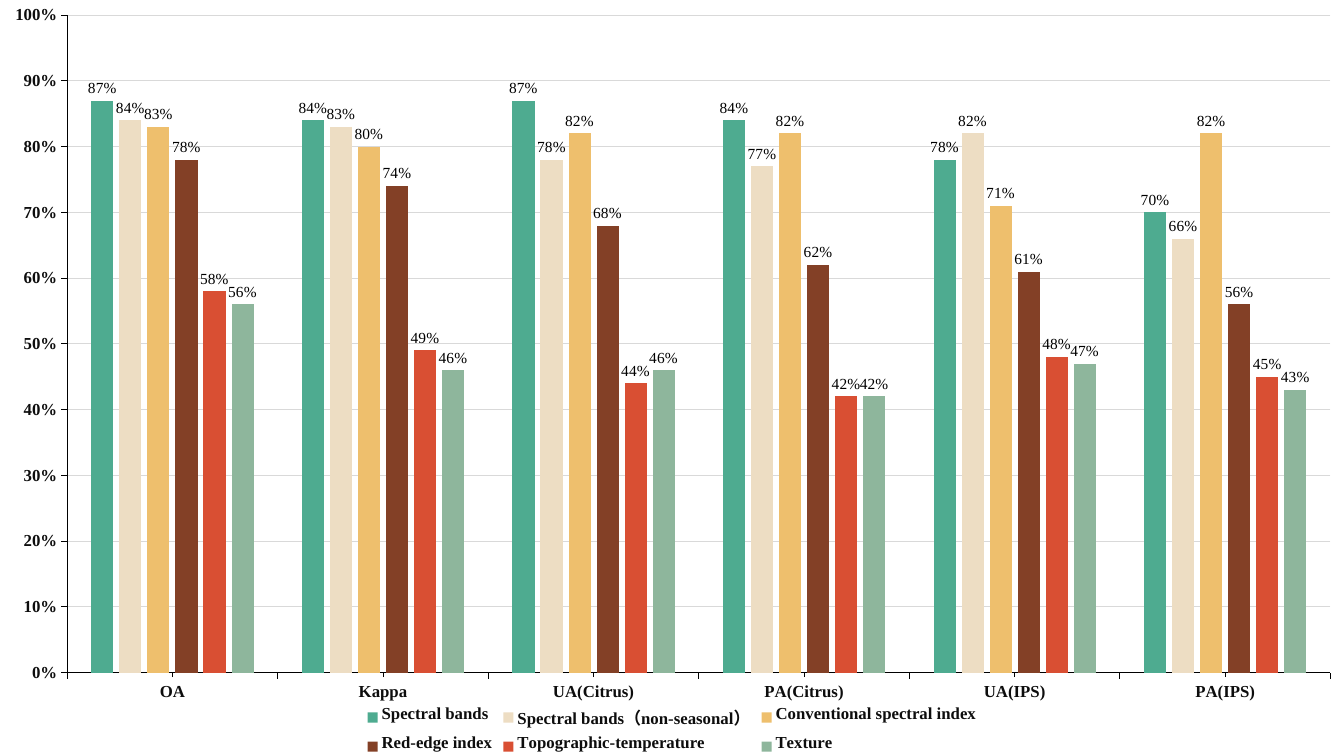
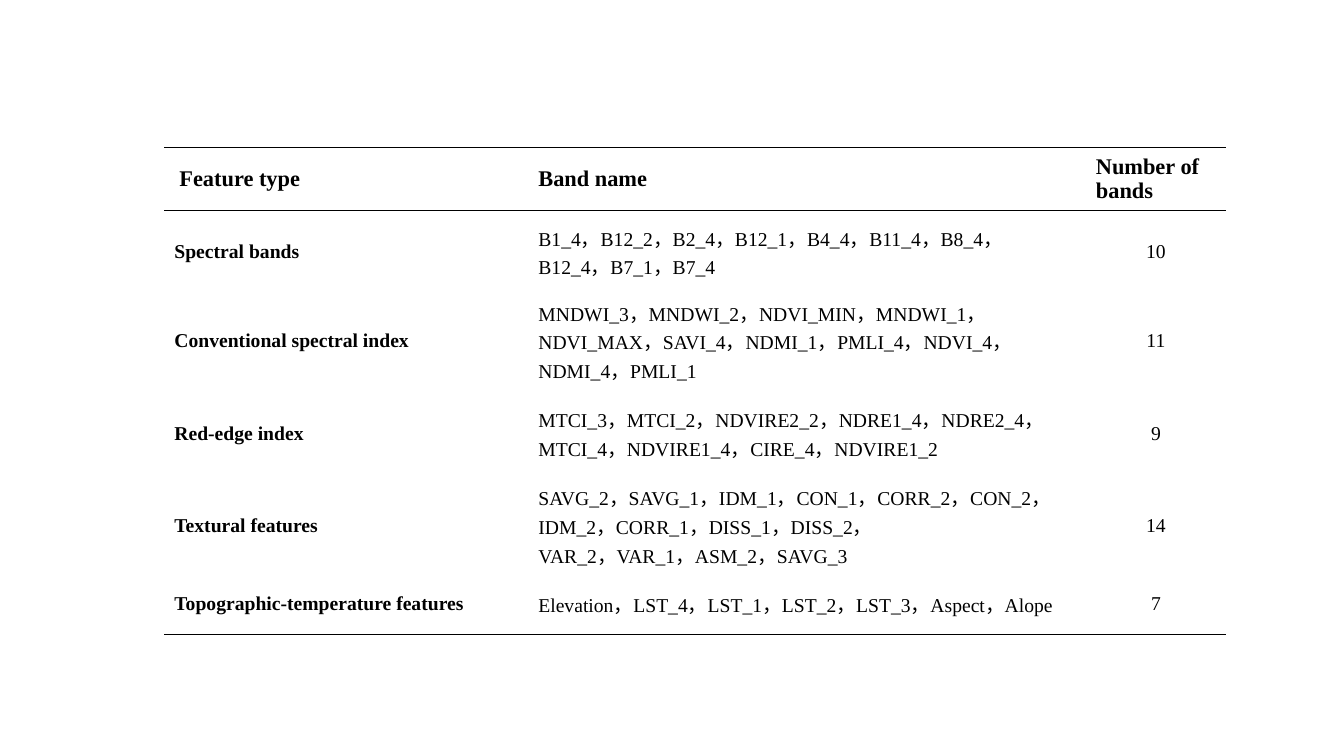
from dataclasses import dataclass

import pptx
import pptx.chart.data
import pptx.dml.color
import pptx.enum.chart
import pptx.enum.text
import pptx.oxml
import pptx.oxml.ns
import pptx.util
from lxml import etree

Inches = pptx.util.Inches
Pt = pptx.util.Pt
CHART = pptx.enum.chart
TEXT = pptx.enum.text
qn = pptx.oxml.ns.qn


@dataclass(frozen=True)
class Theme:
    font: str = "Times New Roman"
    paper: str = "FFFFFF"
    ink: str = "000000"
    axis_ink: str = "0D0D0D"
    grid: str = "D9D9D9"
    series: tuple = ("4EAB90", "EDDDC3", "EEBF6D", "834026", "D94F33", "8EB69C")
    chart_size: int = 10
    label_size: int = 11
    axis_size: int = 12
    body_size: int = 14
    header_size: int = 16
    axis_width: float = 0.75
    rule_width: int = 1


class Deck:
    def __init__(self, theme):
        self.theme = theme
        self.presentation = pptx.Presentation()
        self.presentation.slide_width = Inches(13.33)
        self.presentation.slide_height = Inches(7.5)
        self.slide = None

    def rgb(self, color):
        return pptx.dml.color.RGBColor.from_string(color)

    def add_slide(self):
        self.slide = self.presentation.slides.add_slide(self.presentation.slide_layouts[6])
        background = self.slide.background.fill
        background.solid()
        background.fore_color.rgb = self.rgb(self.theme.paper)

    def style_font(self, font, size, color, bold=False):
        font.name = self.theme.font
        font.size = Pt(size)
        font.bold = bold
        font.color.rgb = self.rgb(color)

    def style_line(self, line, color):
        line.color.rgb = self.rgb(color)
        line.width = Pt(self.theme.axis_width)

    def place_plot(self, chart, x, y, w, h):
        plot_area = chart._chartSpace.chart.plotArea
        for old_layout in plot_area.findall(qn("c:layout")):
            plot_area.remove(old_layout)
        layout = etree.Element(qn("c:layout"))
        manual = etree.SubElement(layout, qn("c:manualLayout"))
        settings = dict(layoutTarget="inner", xMode="edge", yMode="edge", x=x, y=y, w=w, h=h)
        for tag, value in settings.items():
            etree.SubElement(manual, qn(f"c:{tag}")).set("val", str(value))
        plot_area.insert(0, layout)

    def column_chart(self, categories, accuracy, box, plot_box):
        theme = self.theme
        chart_data = pptx.chart.data.CategoryChartData(number_format="0%")
        chart_data.categories = categories
        for feature, percents in accuracy.items():
            chart_data.add_series(feature, [percent / 100 for percent in percents])
        chart = self.slide.shapes.add_chart(
            CHART.XL_CHART_TYPE.COLUMN_CLUSTERED, *map(Inches, box), chart_data
        ).chart
        chart.has_title = False
        self.style_font(chart.font, theme.chart_size, theme.ink)

        chart.has_legend = True
        chart.legend.position = CHART.XL_LEGEND_POSITION.BOTTOM
        chart.legend.include_in_layout = False
        self.style_font(chart.legend.font, theme.axis_size, theme.axis_ink, bold=True)

        for axis in (chart.category_axis, chart.value_axis):
            axis.major_tick_mark = CHART.XL_TICK_MARK.OUTSIDE
            self.style_font(axis.tick_labels.font, theme.axis_size, theme.axis_ink, bold=True)
            self.style_line(axis.format.line, theme.ink)
        chart.category_axis.minor_tick_mark = CHART.XL_TICK_MARK.OUTSIDE
        percent_axis = chart.value_axis
        percent_axis.minimum_scale = 0
        percent_axis.maximum_scale = 1
        percent_axis.major_unit = 0.1
        percent_axis.tick_labels.number_format = "0%"
        percent_axis.tick_labels.number_format_is_linked = False
        self.style_line(percent_axis.major_gridlines.format.line, theme.grid)

        plot = chart.plots[0]
        plot.vary_by_categories = False
        plot.gap_width = 219
        plot.overlap = -27
        for series, color in zip(plot.series, theme.series):
            series.format.fill.solid()
            series.format.fill.fore_color.rgb = self.rgb(color)
            labels = series.data_labels
            labels.show_value = True
            labels.number_format = "0%"
            labels.number_format_is_linked = False
            labels.position = CHART.XL_LABEL_POSITION.OUTSIDE_END
            self.style_font(labels.font, theme.label_size, theme.ink)
        self.place_plot(chart, *plot_box)

    def cell_borders(self, cell, ruled_sides):
        properties = cell._tc.get_or_add_tcPr()
        for position, side in enumerate("LRTB"):
            border = etree.Element(qn(f"a:ln{side}"))
            if side in ruled_sides:
                border.set("w", str(Pt(self.theme.rule_width)))
                fill = etree.SubElement(border, qn("a:solidFill"))
                etree.SubElement(fill, qn("a:srgbClr")).set("val", self.theme.ink)
            else:
                etree.SubElement(border, qn("a:noFill"))
            properties.insert(position, border)

    def fill_cell(self, cell, text, size, bold, centred):
        cell.fill.background()
        cell.vertical_anchor = TEXT.MSO_ANCHOR.MIDDLE
        frame = cell.text_frame
        for index, line in enumerate(text.split("\n")):
            paragraph = frame.add_paragraph() if index else frame.paragraphs[0]
            if centred:
                paragraph.alignment = TEXT.PP_ALIGN.CENTER
            run = paragraph.add_run()
            run.text = line
            self.style_font(run.font, size, self.theme.ink, bold)

    def ruled_table(self, rows, left, top, widths, heights):
        table = self.slide.shapes.add_table(
            len(rows), len(widths), Inches(left), Inches(top),
            Inches(sum(widths)), Inches(sum(heights)),
        ).table
        table.first_row = False
        table.horz_banding = False
        for column, width in zip(table.columns, widths):
            column.width = Inches(width)
        for row, height in zip(table.rows, heights):
            row.height = Inches(height)
        rules = {0: "TB", 1: "T", len(rows) - 1: "B"}
        for r, texts in enumerate(rows):
            size = self.theme.body_size if r else self.theme.header_size
            for c, text in enumerate(texts):
                cell = table.cell(r, c)
                self.fill_cell(cell, text, size, bold=r == 0 or c == 0, centred=r > 0 and c == 2)
                self.cell_borders(cell, rules.get(r, ""))
        table.cell(0, 0).margin_left = Inches(0.15)


METRICS = ["OA", "Kappa", "UA(Citrus)", "PA(Citrus)", "UA(IPS)", "PA(IPS)"]
ACCURACY = {
    "Spectral bands": (87, 84, 87, 84, 78, 70),
    "Spectral bands（non-seasonal）": (84, 83, 78, 77, 82, 66),
    "Conventional spectral index": (83, 80, 82, 82, 71, 82),
    "Red-edge index": (78, 74, 68, 62, 61, 56),
    "Topographic-temperature": (58, 49, 44, 42, 48, 45),
    "Texture": (56, 46, 46, 42, 47, 43),
}
FEATURES = [
    ("Feature type", "Band name", "Number of bands"),
    ("Spectral bands",
     "B1_4，B12_2，B2_4，B12_1，B4_4，B11_4，B8_4，\nB12_4，B7_1，B7_4", "10"),
    ("Conventional spectral index",
     "MNDWI_3，MNDWI_2，NDVI_MIN，MNDWI_1，NDVI_MAX，SAVI_4，"
     "NDMI_1，PMLI_4，NDVI_4，NDMI_4，PMLI_1", "11"),
    ("Red-edge index",
     "MTCI_3，MTCI_2，NDVIRE2_2，NDRE1_4，NDRE2_4，MTCI_4，"
     "NDVIRE1_4，CIRE_4，NDVIRE1_2", "9"),
    ("Textural features",
     "SAVG_2，SAVG_1，IDM_1，CON_1，CORR_2，CON_2，IDM_2，CORR_1，DISS_1，DISS_2，\n"
     "VAR_2，VAR_1，ASM_2，SAVG_3", "14"),
    ("Topographic-temperature features",
     "Elevation，LST_4，LST_1，LST_2，LST_3，Aspect，Alope", "7"),
]


def main():
    deck = Deck(Theme())
    deck.add_slide()
    deck.column_chart(METRICS, ACCURACY, (0, 0, 13.33, 7.5), (0.05, 0.02, 0.94, 0.87))
    deck.add_slide()
    deck.ruled_table(
        FEATURES, 1.63, 1.46, (3.61, 5.53, 1.39), (0.63, 0.82, 0.87, 0.77, 0.91, 0.58)
    )
    deck.presentation.save("out.pptx")


if __name__ == "__main__":
    main()
